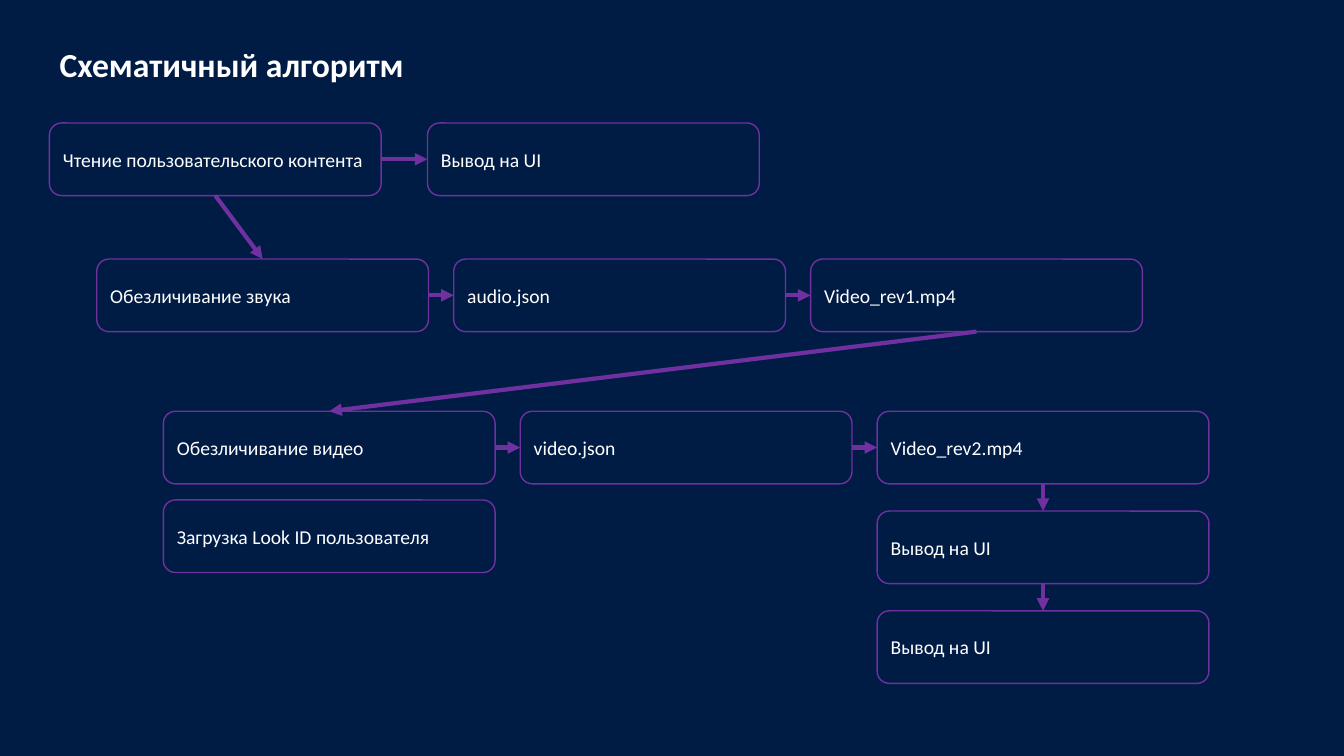
"""Build a flowchart slide of the media anonymisation algorithm."""
import dataclasses

import lxml.etree
import pptx
import pptx.dml.color
import pptx.enum.shapes
import pptx.enum.text
import pptx.oxml.ns
import pptx.util

Inches = pptx.util.Inches

BACKGROUND = "001C45"
PURPLE = "7030A0"
WHITE = "FFFFFF"
BOX_WIDTH, BOX_HEIGHT = 3.29, 0.72
COLUMN_STEP = 3.54
TOP, LEFT, BOTTOM, RIGHT = range(4)
INPUT_LEFT, AUDIO_LEFT, VIDEO_LEFT = 0.49, 0.96, 1.62
INPUT_TOP, AUDIO_TOP, VIDEO_TOP = 1.22, 2.57, 4.08
RESULT_LEFT = VIDEO_LEFT + 2 * COLUMN_STEP


@dataclasses.dataclass(frozen=True)
class Step:
    key: str
    text: str
    left: float
    top: float


@dataclasses.dataclass(frozen=True)
class Arrow:
    start: str
    start_side: int
    end: str
    end_side: int


STEPS = [
    Step("read", "Чтение пользовательского контента", INPUT_LEFT, INPUT_TOP),
    Step("read_output", "Вывод на UI", 4.24, INPUT_TOP),
    Step("audio", "Обезличивание звука", AUDIO_LEFT, AUDIO_TOP),
    Step("audio_json", "audio.json", AUDIO_LEFT + COLUMN_STEP, AUDIO_TOP),
    Step("first_video", "Video_rev1.mp4", AUDIO_LEFT + 2 * COLUMN_STEP, AUDIO_TOP),
    Step("video", "Обезличивание видео", VIDEO_LEFT, VIDEO_TOP),
    Step("video_json", "video.json", VIDEO_LEFT + COLUMN_STEP, VIDEO_TOP),
    Step("second_video", "Video_rev2.mp4", RESULT_LEFT, VIDEO_TOP),
    Step("face", "Загрузка Look ID пользователя", VIDEO_LEFT, 4.96),
    Step("video_output", "Вывод на UI", RESULT_LEFT, 5.07),
    Step("final_output", "Вывод на UI", RESULT_LEFT, 6.06),
]

ARROWS = [
    Arrow("read", RIGHT, "read_output", LEFT),
    Arrow("read", BOTTOM, "audio", TOP),
    Arrow("audio", RIGHT, "audio_json", LEFT),
    Arrow("audio_json", RIGHT, "first_video", LEFT),
    Arrow("first_video", BOTTOM, "video", TOP),
    Arrow("video", RIGHT, "video_json", LEFT),
    Arrow("video_json", RIGHT, "second_video", LEFT),
    Arrow("second_video", BOTTOM, "video_output", TOP),
    Arrow("video_output", BOTTOM, "final_output", TOP),
]


def color(value: str) -> pptx.dml.color.RGBColor:
    return pptx.dml.color.RGBColor.from_string(value)


def write_text(shape, text: str, *, size: float, bold: bool = False, wrap: bool = True) -> None:
    frame = shape.text_frame
    frame.word_wrap = wrap
    frame.auto_size = pptx.enum.text.MSO_AUTO_SIZE.NONE
    frame.vertical_anchor = pptx.enum.text.MSO_ANCHOR.MIDDLE
    para = frame.paragraphs[0]
    para.alignment = pptx.enum.text.PP_ALIGN.LEFT
    span = para.add_run()
    span.text = text
    span.font.name = "Calibri"
    span.font.size = pptx.util.Pt(size)
    span.font.bold = bold
    span.font.color.rgb = color(WHITE)


def format_line(line, width: float) -> None:
    line.color.rgb = color(PURPLE)
    line.width = pptx.util.Pt(width)


def add_title(page, text: str) -> None:
    title = page.shapes.title
    title.left, title.top = Inches(0.49), Inches(0.39)
    title.width, title.height = Inches(4.03), Inches(0.5)
    write_text(title, text, size=24, bold=True, wrap=False)


def add_step(page, step: Step):
    box = page.shapes.add_shape(
        pptx.enum.shapes.MSO_SHAPE.ROUNDED_RECTANGLE,
        Inches(step.left), Inches(step.top), Inches(BOX_WIDTH), Inches(BOX_HEIGHT),
    )
    box.shadow.inherit = False
    box.fill.background()
    format_line(box.line, 1)
    write_text(box, step.text, size=14)
    return box


def add_arrow(page, arrow: Arrow, boxes: dict) -> None:
    connector = page.shapes.add_connector(
        pptx.enum.shapes.MSO_CONNECTOR.STRAIGHT, 0, 0, 0, 0
    )
    connector.begin_connect(boxes[arrow.start], arrow.start_side)
    connector.end_connect(boxes[arrow.end], arrow.end_side)
    format_line(connector.line, 3)
    qualify = pptx.oxml.ns.qn
    properties = connector._element.spPr
    outline = properties.find(qualify("a:ln"))
    lxml.etree.SubElement(outline, qualify("a:tailEnd"), type="triangle")
    lxml.etree.SubElement(properties, qualify("a:effectLst"))


def main() -> None:
    deck = pptx.Presentation()
    deck.slide_width, deck.slide_height = Inches(13.33), Inches(7.5)
    page = deck.slides.add_slide(deck.slide_layouts.get_by_name("Title Only"))
    page.background.fill.solid()
    page.background.fill.fore_color.rgb = color(BACKGROUND)
    add_title(page, "Схематичный алгоритм")
    boxes = {step.key: add_step(page, step) for step in STEPS}
    for arrow in ARROWS:
        add_arrow(page, arrow, boxes)
    deck.save("out.pptx")


if __name__ == "__main__":
    main()
